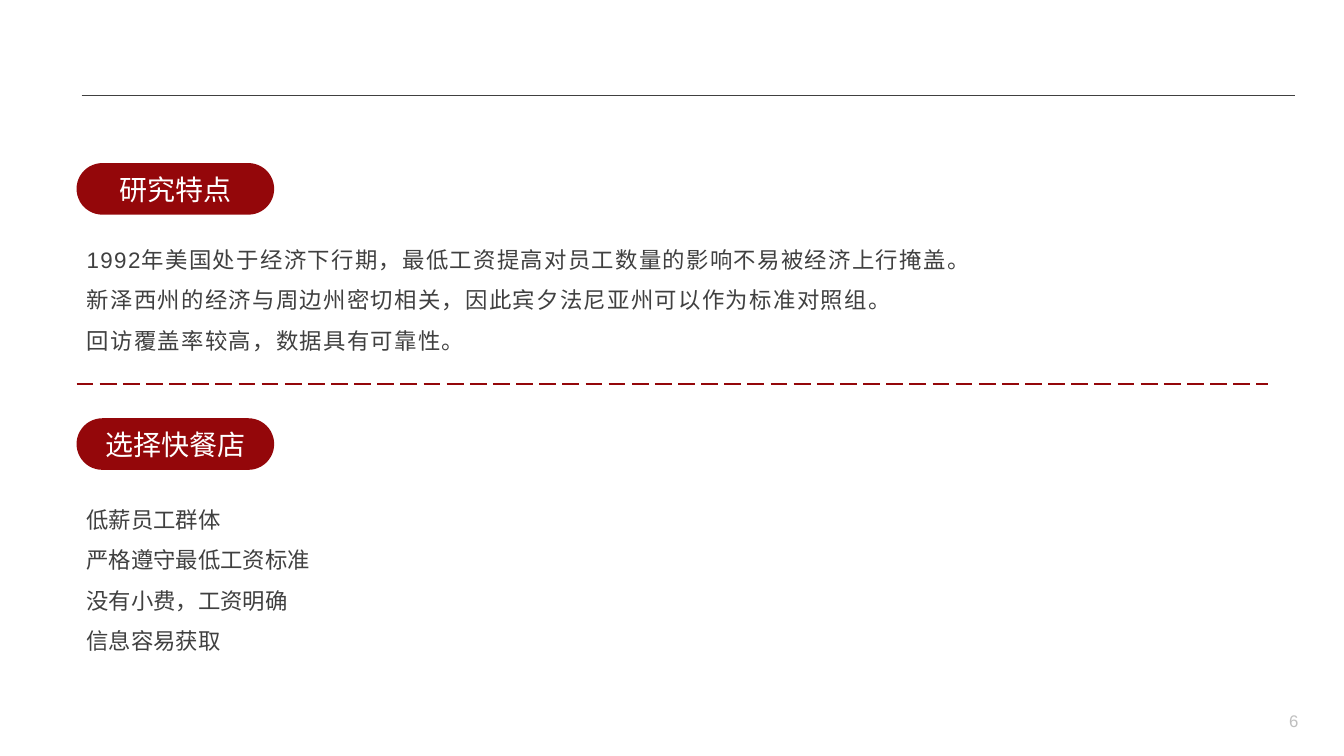
from lxml import etree
from pptx import Presentation
from pptx import util as u
from pptx.dml.color import RGBColor
from pptx.enum import dml, shapes, text
from pptx.oxml.ns import qn

COLORS = {"red": "94070A", "ink": "404040", "white": "FFFFFF", "grey": "BFBFBF"}
LEFT = 1.93
SECTIONS = [
    {
        "heading": "研究特点",
        "top": 4.11,
        "list_top": 5.74,
        "list_height": 3.2,
        "spacing": 100,
        "items": [
            "1992年美国处于经济下行期，最低工资提高对员工数量的影响不易被经济上行掩盖。",
            "新泽西州的经济与周边州密切相关，因此宾夕法尼亚州可以作为标准对照组。",
            "回访覆盖率较高，数据具有可靠性。",
        ],
    },
    {
        "heading": "选择快餐店",
        "top": 10.54,
        "list_top": 12.29,
        "list_height": 4.24,
        "spacing": 0,
        "items": [
            "低薪员工群体",
            "严格遵守最低工资标准",
            "没有小费，工资明确",
            "信息容易获取",
        ],
    },
]


def color(name):
    return RGBColor.from_string(COLORS[name])


def apply(target, values):
    for name, value in values.items():
        setattr(target, name, value)


class SlideBuilder:
    font_name = "Arial"

    def __init__(self, slide):
        self.slide = slide

    def add_text(self, paragraph, content, size, color_name, layout, spacing=0):
        apply(paragraph, layout)
        run = paragraph.add_run()
        run.text = content
        apply(run.font, {"name": self.font_name, "size": u.Pt(size)})
        run.font.color.rgb = color(color_name)
        if spacing:
            run.font._element.set("spc", str(spacing))

    def add_list(self, placeholder, items, top, height, spacing):
        apply(placeholder, {"left": u.Cm(LEFT), "top": u.Cm(top),
                            "width": u.Cm(30.58), "height": u.Cm(height)})
        frame = placeholder.text_frame
        apply(frame, {"word_wrap": True, "auto_size": text.MSO_AUTO_SIZE.NONE,
                      "vertical_anchor": text.MSO_ANCHOR.TOP})
        layout = {"line_spacing": 1.5, "space_before": u.Pt(0),
                  "alignment": text.PP_ALIGN.LEFT}
        for index, item in enumerate(items):
            paragraph = frame.add_paragraph() if index else frame.paragraphs[0]
            properties = paragraph._p.get_or_add_pPr()
            properties.set("marL", "0")
            properties.set("indent", "0")
            etree.SubElement(properties, qn("a:buNone"))
            self.add_text(paragraph, item, 16, "ink", layout, spacing)

    def add_heading(self, content, top):
        shape = self.slide.shapes.add_shape(
            shapes.MSO_SHAPE.ROUNDED_RECTANGLE,
            u.Cm(LEFT), u.Cm(top), u.Cm(4.98), u.Cm(1.3))
        shape.adjustments[0] = 0.5
        shape.shadow.inherit = False
        shape.fill.solid()
        shape.fill.fore_color.rgb = color("red")
        shape.line.fill.background()
        shape.text_frame.vertical_anchor = text.MSO_ANCHOR.MIDDLE
        self.add_text(shape.text_frame.paragraphs[0], content, 20, "white",
                      {"alignment": text.PP_ALIGN.CENTER})

    def add_rule(self, left, right, top, color_name, width, dash=None):
        connector = self.slide.shapes.add_connector(
            shapes.MSO_CONNECTOR.STRAIGHT,
            u.Cm(left), u.Cm(top), u.Cm(right), u.Cm(top))
        connector.line.color.rgb = color(color_name)
        apply(connector.line, {"width": u.Pt(width), "dash_style": dash})
        etree.SubElement(connector._element.spPr, qn("a:effectLst"))

    def add_page_number(self, content):
        shape = self.slide.shapes.add_textbox(
            u.Cm(25.35), u.Cm(17.65), u.Cm(7.62), u.Cm(1.02))
        apply(shape.text_frame, {"word_wrap": True,
                                 "vertical_anchor": text.MSO_ANCHOR.MIDDLE})
        self.add_text(shape.text_frame.paragraphs[0], content, 12, "grey",
                      {"alignment": text.PP_ALIGN.RIGHT})


def main():
    presentation = Presentation()
    apply(presentation, {"slide_width": u.Cm(33.87), "slide_height": u.Cm(19.05)})
    slide = presentation.slides.add_slide(presentation.slide_layouts[3])
    title, *bodies = slide.placeholders
    title._element.getparent().remove(title._element)

    builder = SlideBuilder(slide)
    for body, section in zip(bodies, SECTIONS):
        builder.add_list(body, section["items"], section["list_top"],
                         section["list_height"], section["spacing"])
        builder.add_heading(section["heading"], section["top"])
    builder.add_rule(LEFT, 31.95, 9.68, "red", 1.5, dml.MSO_LINE.LONG_DASH)
    builder.add_page_number("6")
    builder.add_rule(2.06, 32.64, 2.41, "ink", 0.5)
    presentation.save("out.pptx")


if __name__ == "__main__":
    main()
